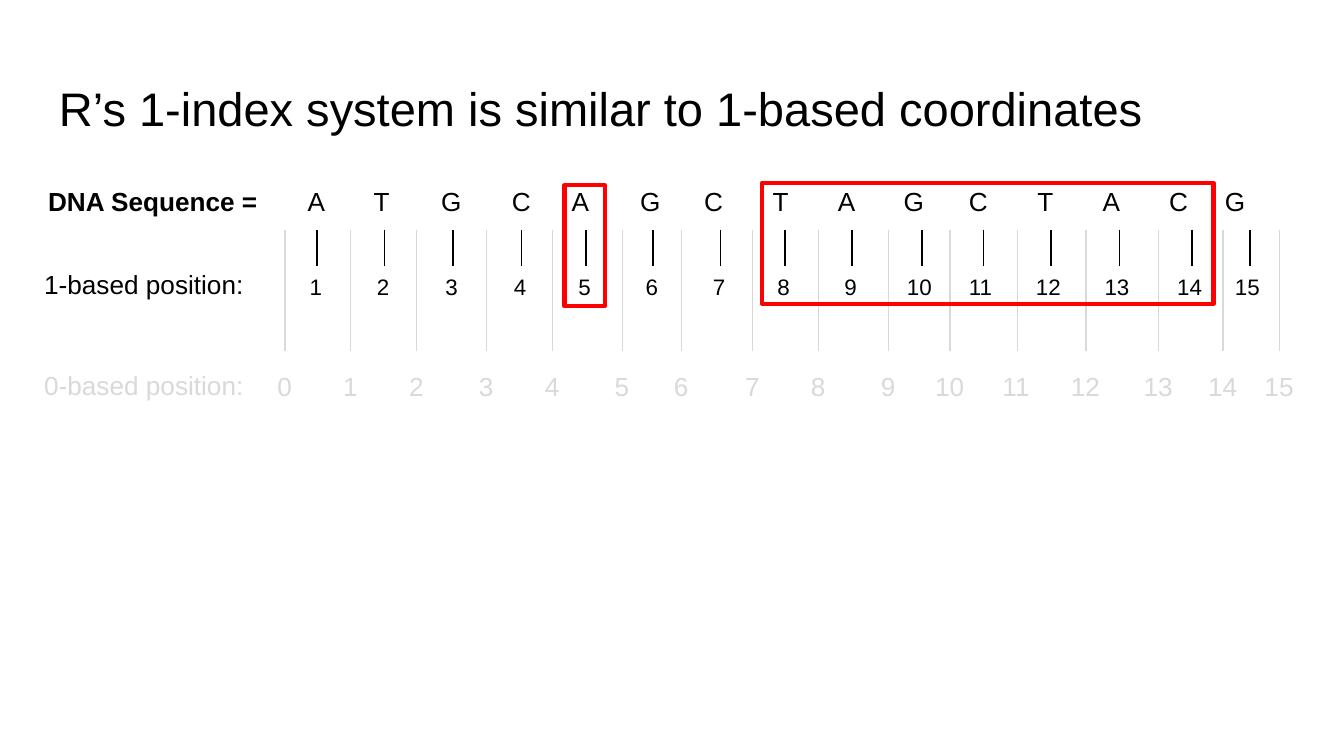
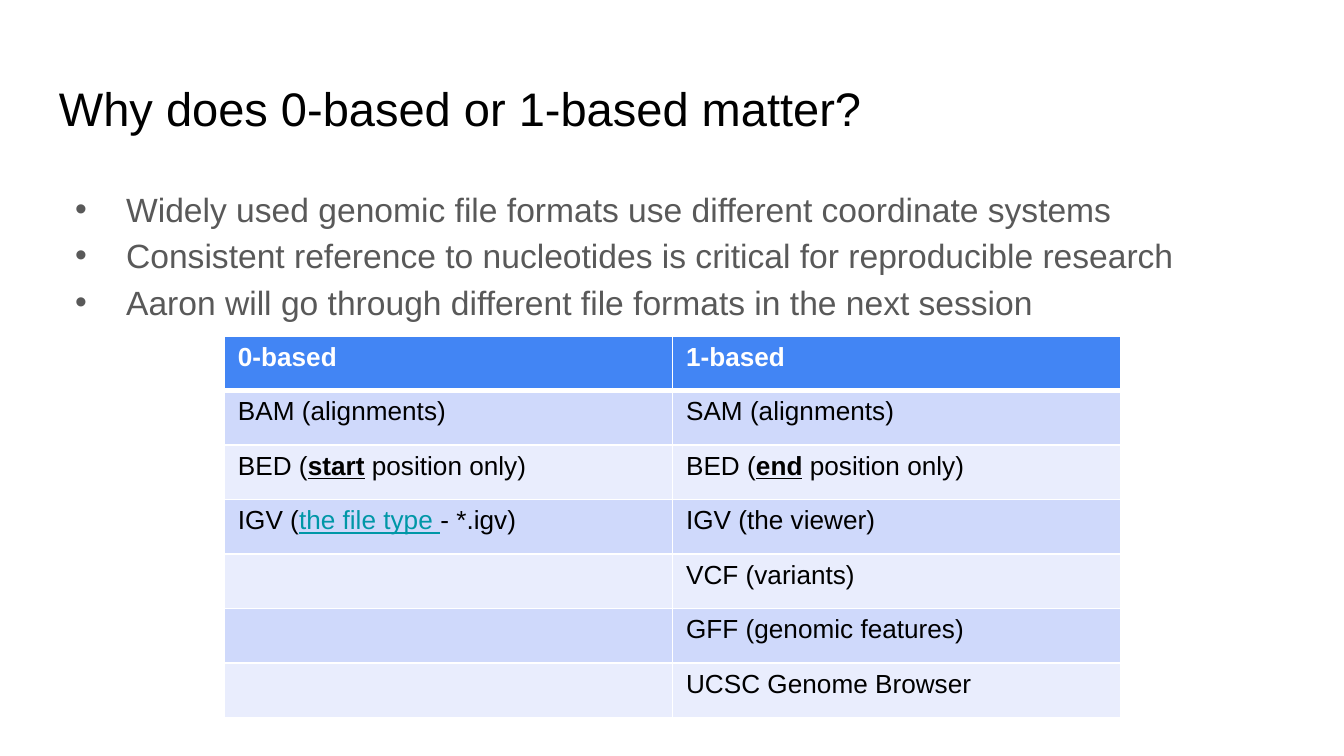
from lxml import etree
from pptx import Presentation
from pptx.dml.color import RGBColor
from pptx.enum.shapes import MSO_CONNECTOR, MSO_SHAPE
from pptx.enum.text import MSO_ANCHOR
from pptx.oxml.ns import qn
from pptx.util import Inches, Pt

LINE = MSO_CONNECTOR.STRAIGHT
RECT = MSO_SHAPE.RECTANGLE
TOP, MID = MSO_ANCHOR.TOP, MSO_ANCHOR.MIDDLE
HUES = {
    "ink": "000000", "pale": "D9D9D9", "red": "FF0000", "text": "595959",
    "white": "FFFFFF", "head": "4285F4", "odd": "CFD9FB", "even": "E9EDFD",
    "link": "0097A7",
}
FONT = "Arial"
COLS, ROWS = 100, 56.25


def hue(name):
    return RGBColor.from_string(HUES[name])


def node(root, tag, **attrs):
    return etree.SubElement(root, qn(tag), {k: str(v) for k, v in attrs.items()})


class Deck:
    def __init__(self):
        self.prs = Presentation()
        self.prs.slide_width = Inches(10)
        self.prs.slide_height = Inches(5.625)
        self.page = None

    def x(self, cols):
        return round(self.prs.slide_width * cols / COLS)

    def y(self, rows):
        return round(self.prs.slide_height * rows / ROWS)

    def area(self, left, top, wide, high):
        return self.x(left), self.y(top), self.x(wide), self.y(high)

    def slide(self, title):
        self.page = self.prs.slides.add_slide(self.prs.slide_layouts[6])
        self.text((3.4, 4.9, 93.2, 6.3), title, 25.2, anchor=MID)

    def run(self, para, text, size, color="ink", bold=False, under=False):
        run = para.add_run()
        run.text = text
        font = run.font
        font.name, font.size = FONT, Pt(size)
        font.bold, font.underline = bold, under
        font.color.rgb = hue(color)

    def frame(self, area, pad=1, wrap=True, anchor=TOP):
        frame = self.page.shapes.add_textbox(*self.area(*area)).text_frame
        frame.word_wrap = wrap
        frame.vertical_anchor = anchor
        frame.margin_left = frame.margin_right = self.x(1)
        frame.margin_top = frame.margin_bottom = self.y(pad)
        return frame

    def text(self, area, text, size=14, color="ink", bold=False, **box):
        para = self.frame(area, **box).paragraphs[0]
        self.run(para, text, size, color, bold)

    def tabs(self, area, words, stops):
        para = self.frame(area).paragraphs[0]
        tabs = node(para._p.get_or_add_pPr(), "a:tabLst")
        for stop in stops:
            node(tabs, "a:tab", pos=self.x(stop), algn="ctr")
        self.run(para, "\t".join(words), 14)

    def list(self, area, items):
        frame = self.frame(area)
        for i, item in enumerate(items):
            para = frame.add_paragraph() if i else frame.paragraphs[0]
            props = para._p.get_or_add_pPr()
            props.set("marL", str(self.x(5)))
            props.set("indent", str(-self.x(3.8)))
            node(node(props, "a:buClr"), "a:srgbClr", val=HUES["text"])
            node(props, "a:buFont", typeface=FONT)
            node(props, "a:buChar", char="•")
            para.line_spacing = 1.15
            self.run(para, item, 18, "text")

    def line(self, col, top, end, color):
        line = self.page.shapes.add_connector(
            LINE, self.x(col), self.y(top), self.x(col), self.y(end))
        line.line.color.rgb = hue(color)
        line.line.width = Pt(0.75)
        node(line._element.spPr, "a:effectLst")

    def scale(self, stops, first, top, end, row, size, color):
        for num, col in enumerate(stops, first):
            self.line(col, top, end, color)
            wide = 3.1 if num < 10 else 4.2
            self.text((col - wide / 2, row, wide, 3.2), str(num), size, color,
                      pad=0.5, wrap=False)

    def box(self, *area):
        box = self.page.shapes.add_shape(RECT, *self.area(*area))
        box.shadow.inherit = False
        box.fill.background()
        box.line.color.rgb = hue("red")
        box.line.width = Pt(2.25)
        node(box.line._get_or_add_ln(), "a:round")

    def edge(self, cell, side, width):
        edge = node(cell._tc.get_or_add_tcPr(), "a:ln" + side, w=Pt(width))
        node(node(edge, "a:solidFill"), "a:srgbClr", val=HUES["white"])

    def table(self, area, rows):
        grid = self.page.shapes.add_table(
            len(rows), len(rows[0]), *self.area(*area)).table
        for r, row in enumerate(rows):
            for c, runs in enumerate(row):
                cell = grid.cell(r, c)
                for side in "LRTB":
                    thick = (r, side) in ((0, "B"), (1, "T"))
                    self.edge(cell, side, 3 if thick else 1)
                cell.fill.solid()
                fill = "head" if r == 0 else "odd" if r % 2 else "even"
                cell.fill.fore_color.rgb = hue(fill)
                para = cell.text_frame.paragraphs[0]
                base = {"color": "white", "bold": True} if r == 0 else {}
                for text, style in runs:
                    self.run(para, text, 14, **base, **style)


def plain(text):
    return [(text, {})]


def bed(word):
    return [("BED (", {}), (word, {"bold": True, "under": True}),
            (" position only)", {})]


def index(deck):
    deck.slide("R’s 1-index system is similar to 1-based coordinates")
    deck.tabs((21.9, 12.8, 72.9, 4.4), "ATGCAGCTAGCTACG",
              (5.5, 10.7, 15.9, 20.3, 25.5, 30.2, 35.2, 40.1, 45.1, 49.9,
               54.9, 59.8, 64.8, 69))
    deck.text((2.6, 12.8, 17.6, 4.4), "DNA Sequence =", bold=True)
    deck.text((2.3, 19, 17.6, 4.4), "1-based position:")
    deck.text((2.3, 26.5, 17.6, 4.4), "0-based position:", color="pale")
    deck.scale((21.2, 26.1, 31, 36.2, 41.1, 46.3, 50.7, 56, 60.9, 66.1,
                70.7, 75.7, 80.8, 86.2, 91, 95.2),
               0, 17.1, 26.1, 27.1, 14, "pale")
    deck.scale((23.6, 28.6, 33.7, 38.8, 43.6, 48.6, 53.6, 58.4, 63.4, 68.6,
                73.2, 78.2, 83.3, 88.7, 93),
               1, 17.1, 19.8, 19.8, 12, "ink")
    deck.box(42, 13.8, 3, 9)
    deck.box(56.7, 13.6, 33.6, 9)


def matter(deck):
    deck.slide("Why does 0-based or 1-based matter?")
    deck.list((3.4, 12.6, 93.2, 37.4), (
        "Widely used genomic file formats use different coordinate systems",
        "Consistent reference to nucleotides is critical for reproducible research",
        "Aaron will go through different file formats in the next session"))
    igv = [("IGV (", {}), ("the file type ", {"color": "link", "under": True}),
           ("- *.igv)", {})]
    deck.table((16.7, 25, 66.7, 28.4), (
        (plain("0-based"), plain("1-based")),
        (plain("BAM (alignments)"), plain("SAM (alignments)")),
        (bed("start"), bed("end")),
        (igv, plain("IGV (the viewer)")),
        ((), plain("VCF (variants)")),
        ((), plain("GFF (genomic features)")),
        ((), plain("UCSC Genome Browser"))))


def main():
    deck = Deck()
    index(deck)
    matter(deck)
    deck.prs.save("out.pptx")


if __name__ == "__main__":
    main()
